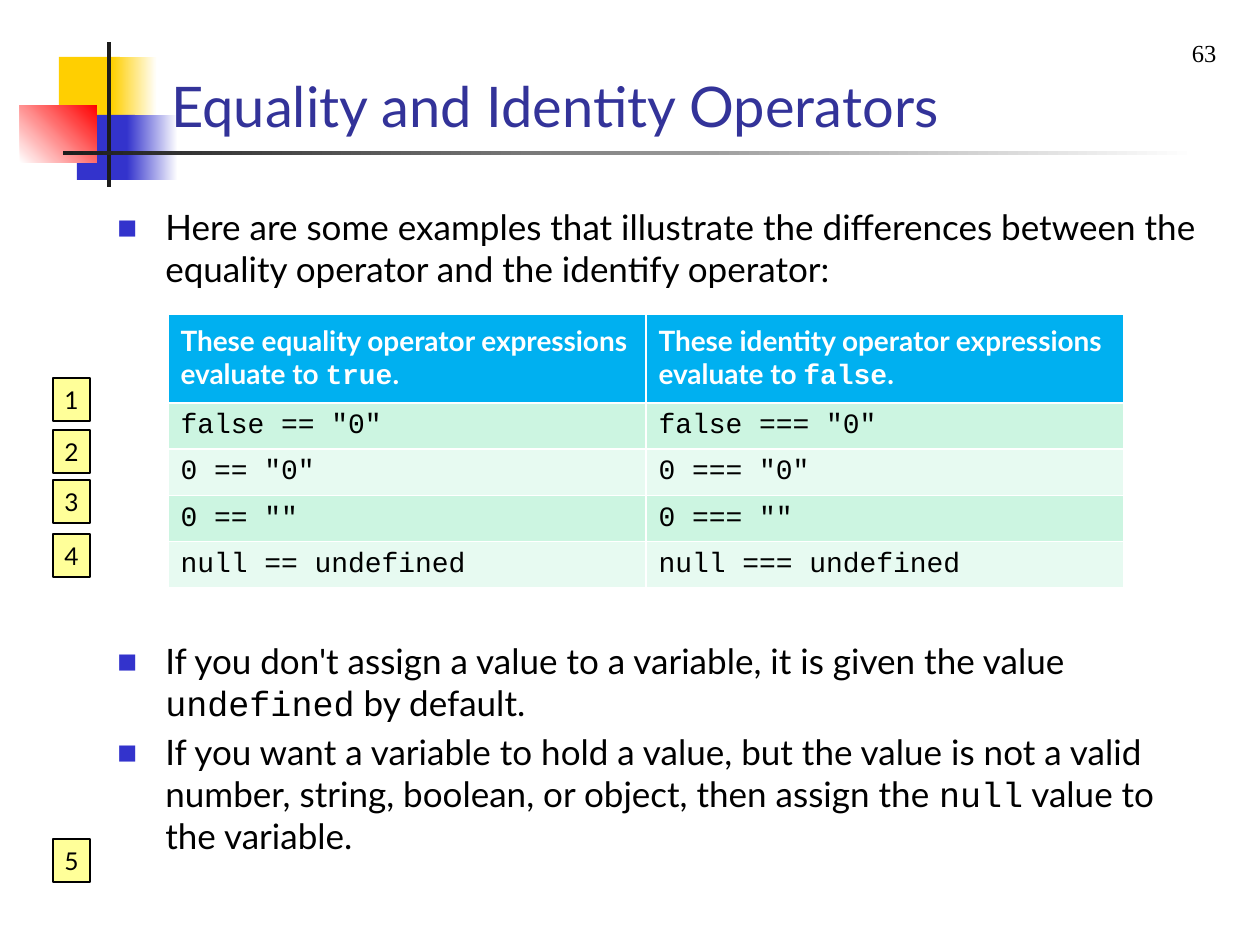
from lxml import etree
from pptx import Presentation
from pptx.dml.color import RGBColor
from pptx.enum.shapes import MSO_SHAPE
from pptx.enum.text import MSO_ANCHOR, PP_ALIGN
from pptx.oxml.ns import qn
from pptx.util import Pt

PX = 914400 // 126
COLORS = {name: RGBColor.from_string(value) for name, value in {
    "white": "FFFFFF", "black": "000000", "yellow": "FFCF01", "blue": "3333CC",
    "red": "FF0000", "dark": "1C1C1C", "title": "333399", "header": "00B0F0",
    "band": "CCF5E1", "light band": "E7FAF1", "badge": "FFFF99",
}.items()}


def write(paragraph, text, size, color="black", name="Lato", bold=False):
    """Fill a paragraph; parts between backticks are set in Courier New."""
    paragraph.font.size = Pt(size)
    paragraph.font.color.rgb = COLORS[color]
    paragraph.font.bold = bold
    paragraph.font.name = name
    for index, part in enumerate(text.split("`")):
        if part:
            run = paragraph.add_run()
            run.text = part
            if index % 2:
                run.font.name = "Courier New"


def add_rectangle(left, top, width, height):
    shape = slide.shapes.add_shape(
        MSO_SHAPE.RECTANGLE, left * PX, top * PX, width * PX, height * PX)
    shape.shadow.inherit = False
    shape.line.fill.background()
    return shape


presentation = Presentation()
presentation.slide_width = 1260 * PX
presentation.slide_height = 945 * PX
slide = presentation.slides.add_slide(presentation.slide_layouts[6])

# Corner decoration: box, start colour, end colour (None for solid), angle
decorations = [
    ((59, 57, 61, 65), "yellow", None, 0),
    ((112, 57, 45, 65), "yellow", "white", 0),
    ((77, 115, 58, 65), "blue", None, 0),
    ((127, 115, 51, 65), "blue", "white", 0),
    ((20, 105, 77, 58), "white", "red", 45),
    ((107, 42, 4, 145), "dark", None, 0),
    ((63, 151, 1134, 4), "dark", "white", 0),
]
for box, start, end, angle in decorations:
    fill = add_rectangle(*box).fill
    if end is None:
        fill.solid()
        fill.fore_color.rgb = COLORS[start]
    else:
        fill.gradient()
        fill.gradient_angle = angle
        for stop, color in zip(fill.gradient_stops, (start, end)):
            stop.color.rgb = COLORS[color]

# Slide number and title
number_box = slide.shapes.add_textbox(1176 * PX, 32 * PX, 53 * PX, 53 * PX)
number = number_box.text_frame.paragraphs[0]
number.alignment = PP_ALIGN.RIGHT
write(number, "63", 14, name="Times New Roman")

title_box = slide.shapes.add_textbox(159 * PX, 42 * PX, 997 * PX, 103 * PX)
title_box.text_frame.word_wrap = True
title_box.text_frame.vertical_anchor = MSO_ANCHOR.BOTTOM
write(title_box.text_frame.paragraphs[0], "Equality and Identity Operators", 32, "title")

# Bulleted text above and below the table
bullet_groups = [
    (199, 100, [
        "Here are some examples that illustrate the differences between the "
        "equality operator and the identify operator:",
    ]),
    (633, 240, [
        "If you don't assign a value to a variable, it is given the value "
        "`undefined` by default.",
        "If you want a variable to hold a value, but the value is not a valid number, "
        "string, boolean, or object, then assign the `null` value to the variable.",
    ]),
]
for top, height, bullets in bullet_groups:
    body_box = slide.shapes.add_textbox(105 * PX, top * PX, 1113 * PX, height * PX)
    frame = body_box.text_frame
    frame.word_wrap = True
    for index, text in enumerate(bullets):
        paragraph = frame.add_paragraph() if index else frame.paragraphs[0]
        if index:
            paragraph.space_before = Pt(4)
        properties = paragraph._p.get_or_add_pPr()
        properties.set("marL", str(48 * PX))
        properties.set("indent", str(-48 * PX))
        bullet_color = etree.SubElement(properties, qn("a:buClr"))
        etree.SubElement(bullet_color, qn("a:srgbClr"), val=str(COLORS["blue"]))
        etree.SubElement(properties, qn("a:buSzPct"), val="60000")
        etree.SubElement(properties, qn("a:buFont"), typeface="Lato")
        etree.SubElement(properties, qn("a:buChar"), char="■")
        write(paragraph, text, 20)

# Operator table; its built-in style draws the white borders
rows = [
    ("These equality operator expressions evaluate to `true`.",
     "These identity operator expressions evaluate to `false`."),
    ('false == "0"', 'false === "0"'),
    ('0 == "0"', '0 === "0"'),
    ('0 == ""', '0 === ""'),
    ("null == undefined", "null === undefined"),
]
table = slide.shapes.add_table(
    len(rows), 2, 168 * PX, 314 * PX, 956 * PX, 273 * PX).table
for column in table.columns:
    column.width = 478 * PX
for row_index, texts in enumerate(rows):
    is_header = row_index == 0
    table.rows[row_index].height = (89 if is_header else 46) * PX
    fill_name = "header" if is_header else ("light band", "band")[row_index % 2]
    for column_index, text in enumerate(texts):
        cell = table.cell(row_index, column_index)
        cell.vertical_anchor = MSO_ANCHOR.MIDDLE
        cell.fill.solid()
        cell.fill.fore_color.rgb = COLORS[fill_name]
        paragraph = cell.text_frame.paragraphs[0]
        if is_header:
            write(paragraph, text, 16, "white", bold=True)
        else:
            write(paragraph, text, 16, name="Courier New")

# Numbered badges
for label, top in enumerate((378, 430, 480, 534, 839), start=1):
    badge = add_rectangle(53, top, 37, 43)
    badge.fill.solid()
    badge.fill.fore_color.rgb = COLORS["badge"]
    badge.line.color.rgb = COLORS["black"]
    badge.line.width = Pt(0.75)
    badge.text_frame.word_wrap = False
    badge.text_frame.vertical_anchor = MSO_ANCHOR.MIDDLE
    paragraph = badge.text_frame.paragraphs[0]
    paragraph.alignment = PP_ALIGN.CENTER
    write(paragraph, str(label), 14)

presentation.save("out.pptx")
